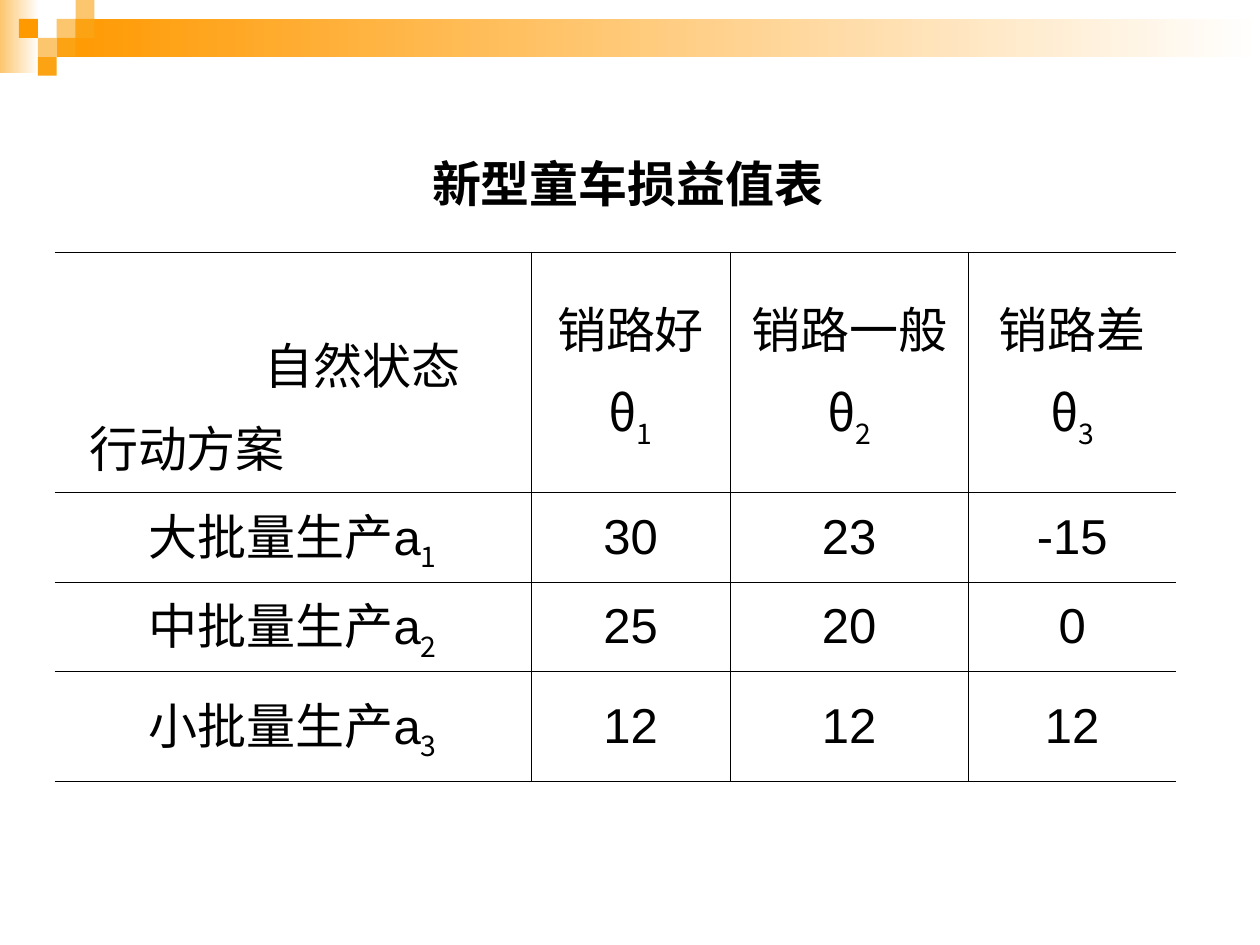
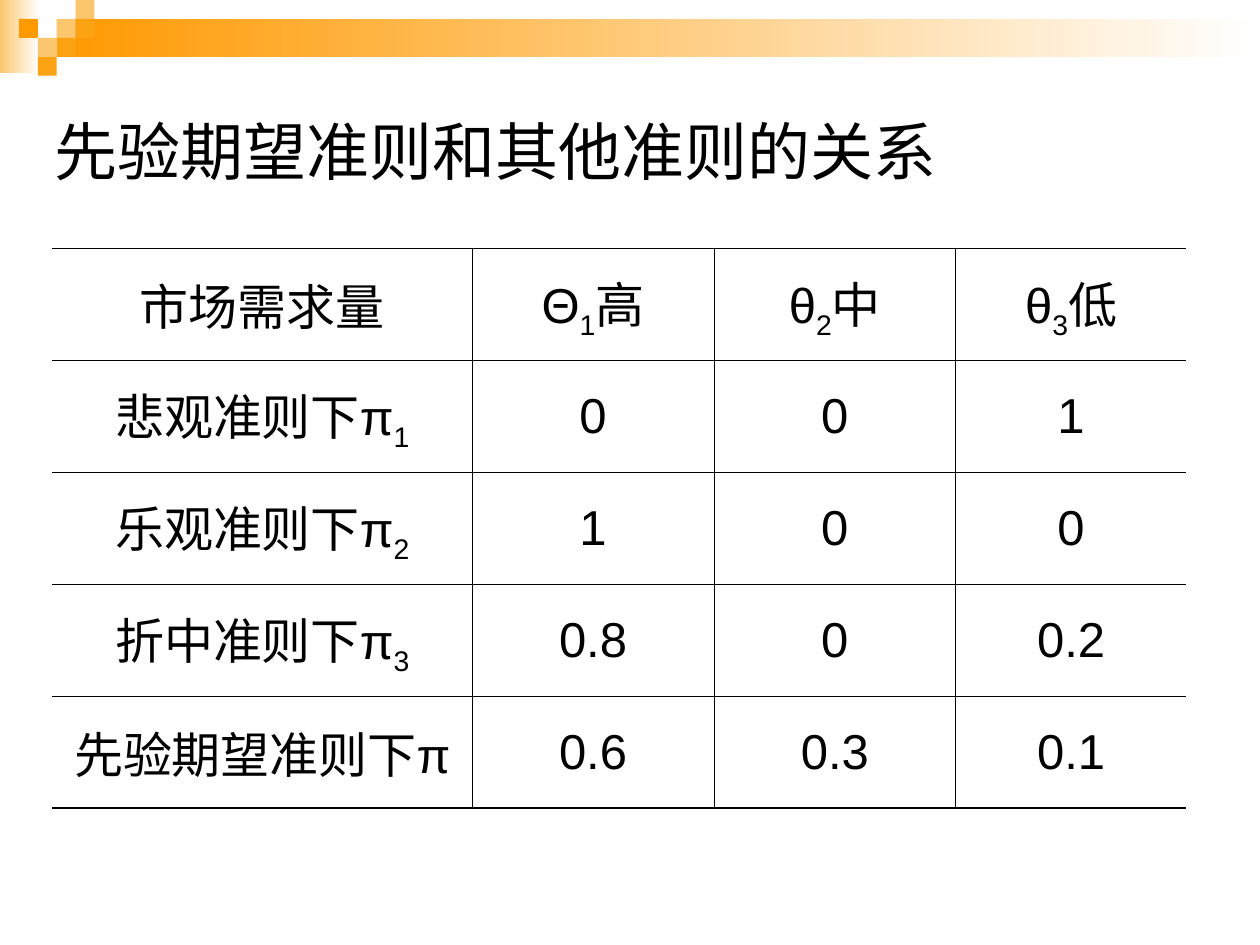
from lxml import etree
from pptx import Presentation
from pptx import util as u
from pptx.dml import color
from pptx.enum import shapes, text
from pptx.oxml import ns

COLOURS = {"ink": "000000", "white": "FFFFFF", "orange": "FF9900",
           "amber": "FBA313", "sand": "FCC66E"}
LATIN, CHINESE = "Arial", "Noto Sans CJK SC"
BODY_SIZE = 28
TILE = 10.8
TILES = [(3, 1, "sand"), (4, 0, "sand"), (4, 1, "amber"), (2, 2, "sand"),
         (1, 1, "orange"), (3, 2, "amber"), (2, 3, "amber")]
THIN = 0.45

PAYOFFS = [
    ["", "销路好\nθ_1", "销路一般\nθ_2", "销路差\nθ_3"],
    ["大批量生产a_1", "30", "23", "-15"],
    ["中批量生产a_2", "25", "20", "0"],
    ["小批量生产a_3", "12", "12", "12"],
]
CRITERIA = [
    ["市场需求量", "Θ_1高", "θ_2中", "θ_3低"],
    ["悲观准则下π_1", "0", "0", "1"],
    ["乐观准则下π_2", "1", "0", "0"],
    ["折中准则下π_3", "0.8", "0", "0.2"],
    ["先验期望准则下π", "0.6", "0.3", "0.1"],
]


def rgb(name):
    """Return the named colour."""
    return color.RGBColor.from_string(COLOURS[name])


def add_run(paragraph, words, size=BODY_SIZE, font=LATIN, bold=False, subscript=False):
    """Add one styled run with a Chinese companion font."""
    run = paragraph.add_run()
    run.text = words
    run.font.size = u.Pt(size)
    run.font.name = font
    run.font.bold = bold
    run.font.color.rgb = rgb("ink")
    properties = run.font._element
    etree.SubElement(properties, ns.qn("a:ea"), typeface=CHINESE)
    if subscript:
        properties.set("baseline", "-25000")


def add_rectangle(group, left, top, width, height, start, end=None):
    """Add a borderless rectangle, solid or fading to the right."""
    shape = group.shapes.add_shape(shapes.MSO_SHAPE.RECTANGLE, u.Pt(left), u.Pt(top),
                                   u.Pt(width), u.Pt(height))
    shape.shadow.inherit = False
    shape.line.fill.background()
    if end:
        shape.fill.gradient()
        shape.fill.gradient_angle = 0
        for stop, name in zip(shape.fill.gradient_stops, (start, end)):
            stop.color.rgb = rgb(name)
    else:
        shape.fill.solid()
        shape.fill.fore_color.rgb = rgb(start)


def add_header_band(slide):
    """Draw the fading band and the tile pattern at the top."""
    group = slide.shapes.add_group_shape()
    add_rectangle(group, 0, 0, 22.3, 41.8, "sand", "white")
    add_rectangle(group, 3 * TILE, TILE, 720 - 3 * TILE, 2 * TILE, "orange", "white")
    for column, row, name in TILES:
        add_rectangle(group, column * TILE, row * TILE, TILE, TILE, name)


def add_title(slide, words, left, top, width, height, **style):
    """Add the slide title, centred vertically in its box."""
    box = slide.shapes.add_textbox(u.Pt(left), u.Pt(top), u.Pt(width), u.Pt(height))
    frame = box.text_frame
    frame.word_wrap = True
    frame.vertical_anchor = text.MSO_ANCHOR.MIDDLE
    add_run(frame.paragraphs[0], words, **style)


def set_borders(cell, widths):
    """Set the cell's left, right, top and bottom lines; width 0 means none."""
    properties = cell._tc.get_or_add_tcPr()
    for index, (side, width) in enumerate(zip("LRTB", widths)):
        line = etree.Element(ns.qn(f"a:ln{side}"), w=str(int(u.Pt(width))))
        if width:
            fill = etree.SubElement(line, ns.qn("a:solidFill"))
            etree.SubElement(fill, ns.qn("a:srgbClr"), val=COLOURS["ink"])
        else:
            etree.SubElement(line, ns.qn("a:noFill"))
        properties.insert(index, line)


def fill_cell(cell, content, symbol_font):
    """Write centred lines, where _ puts the next character in subscript."""
    cell.vertical_anchor = text.MSO_ANCHOR.MIDDLE
    frame = cell.text_frame
    for index, line in enumerate(content.split("\n")):
        paragraph = frame.add_paragraph() if index else frame.paragraphs[0]
        paragraph.alignment = text.PP_ALIGN.CENTER
        paragraph.space_before = u.Pt(7)
        base, _, rest = line.partition("_")
        add_run(paragraph, base, font=symbol_font if base == "θ" else LATIN)
        if rest:
            add_run(paragraph, rest[0], font=symbol_font, subscript=True)
        if rest[1:]:
            add_run(paragraph, rest[1:])


def fill_corner(cell, labels):
    """Write the corner labels, each with its own left indent."""
    cell.vertical_anchor = text.MSO_ANCHOR.BOTTOM
    cell.margin_bottom = u.Pt(6.5)
    frame = cell.text_frame
    for index, (label, indent) in enumerate(labels):
        paragraph = frame.add_paragraph() if index else frame.paragraphs[0]
        paragraph.space_before = u.Pt(7)
        paragraph._p.get_or_add_pPr().set("marL", str(int(u.Pt(indent))))
        add_run(paragraph, label)


def add_grid(slide, rows, left, top, widths, heights, outer=THIN, symbol_font=LATIN):
    """Add a table that is ruled inside, above and below but open at its sides."""
    last_row, last_column = len(heights) - 1, len(widths) - 1
    frame = slide.shapes.add_table(len(heights), len(widths), u.Pt(left), u.Pt(top),
                                   u.Pt(sum(widths)), u.Pt(sum(heights)))
    table = frame.table
    table.first_row = table.horz_banding = False
    for column, width in zip(table.columns, widths):
        column.width = u.Pt(width)
    for r, (row, height) in enumerate(zip(rows, heights)):
        table.rows[r].height = u.Pt(height)
        for c, content in enumerate(row):
            cell = table.cell(r, c)
            cell.fill.background()
            set_borders(cell, (THIN if c else 0, THIN if c < last_column else 0,
                               THIN if r else outer, THIN if r < last_row else outer))
            if content:
                fill_cell(cell, content, symbol_font)
    return table


def add_payoff_slide(slide):
    """Build the payoff table of the new pram."""
    add_header_band(slide)
    add_title(slide, "新型童车损益值表", 239.8, 84.2, 262.8, 41, bold=True)
    table = add_grid(slide, PAYOFFS, 31.2, 144, (272.2, 113.8, 136.1, 118.8),
                     (137.5, 51.1, 51.1, 62.6), symbol_font=CHINESE)
    fill_corner(table.cell(0, 0), [("自然状态", 113), ("行动方案", 12.5)])


def add_criteria_slide(slide):
    """Build the comparison of the decision criteria."""
    add_header_band(slide)
    add_title(slide, "先验期望准则和其他准则的关系", 23.8, 65.5, 541.4, 40.3,
              size=36, font=CHINESE)
    add_grid(slide, CRITERIA, 30, 142, (239.8, 138.2, 138.2, 131.8), [64] * 5, outer=1.08)


def main():
    """Build and save the presentation."""
    presentation = Presentation()
    presentation.slide_width, presentation.slide_height = u.Pt(720), u.Pt(540)
    blank = presentation.slide_layouts[6]
    for build in (add_payoff_slide, add_criteria_slide):
        build(presentation.slides.add_slide(blank))
    presentation.save("out.pptx")


if __name__ == "__main__":
    main()
